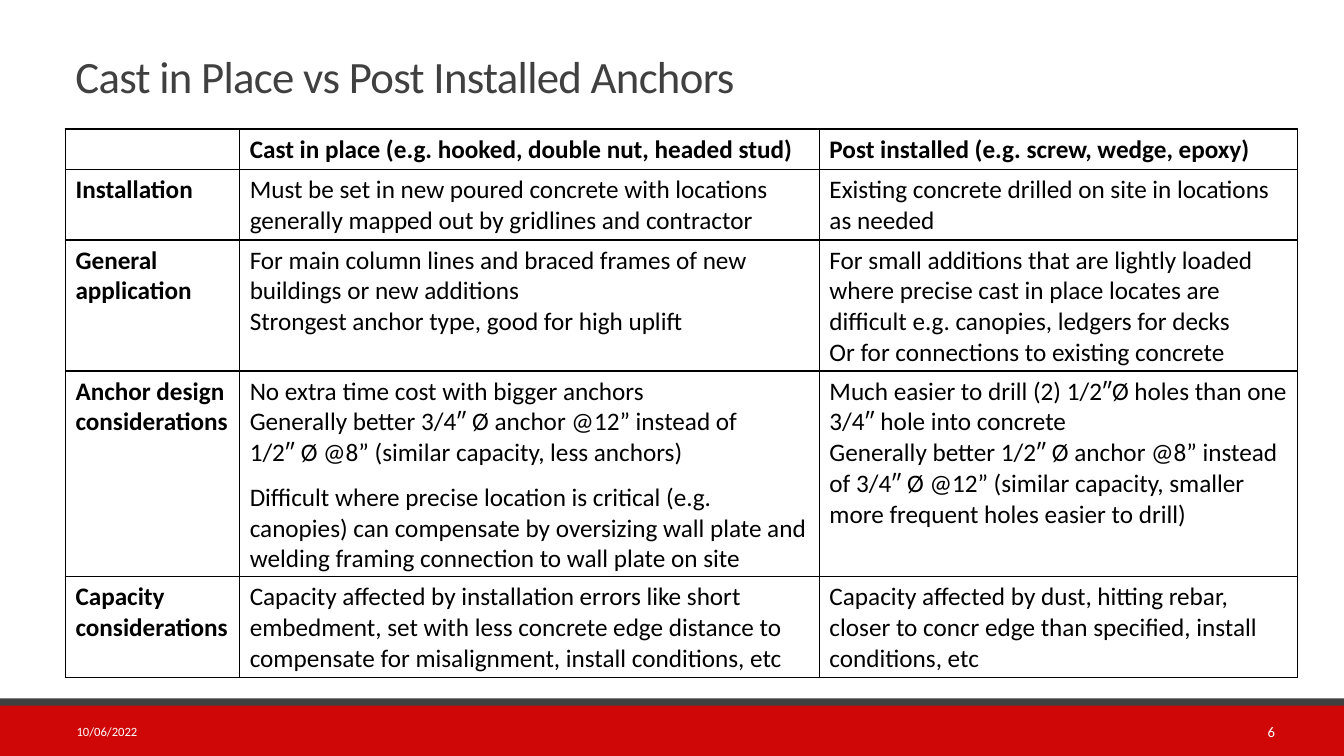
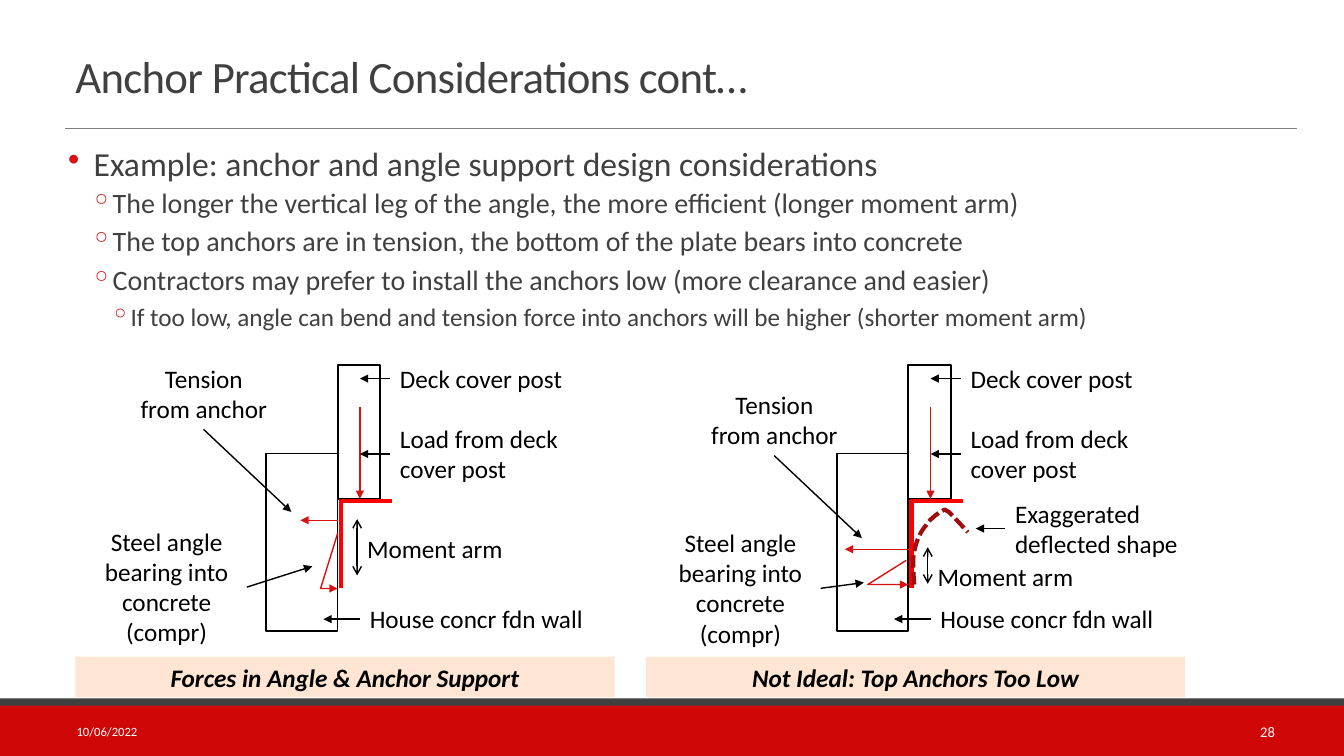
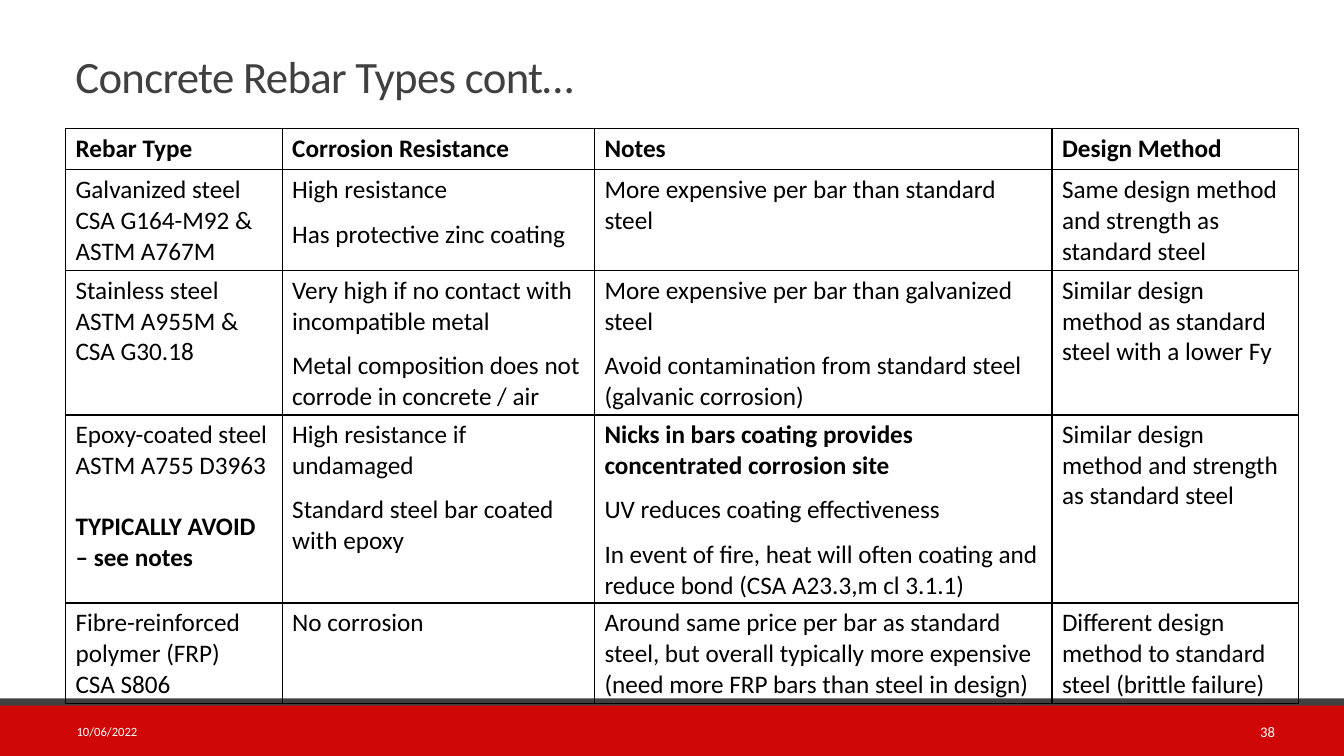
from dataclasses import dataclass
from itertools import chain
from typing import Any, NamedTuple, Optional, Sequence, Union

from lxml import etree
from pptx import Presentation
from pptx import slide as sld
from pptx import util as u
from pptx.dml import color as dml
from pptx.enum import dml as dash, shapes, text
from pptx.oxml import ns
from pptx.shapes import shapetree as tree
from pptx.text import text as txt

Cm = u.Cm
MSO = shapes.MSO_SHAPE
ALIGN, ANCHOR = text.PP_ALIGN, text.MSO_ANCHOR


@dataclass(frozen=True)
class Theme:
    font: str = "Calibri"
    ink: str = "000000"
    grey: str = "404040"
    rule: str = "808080"
    paper: str = "FFFFFF"
    band: str = "CF0707"
    accent: str = "D91111"
    steel: str = "FF0000"
    deflected: str = "A10D0D"
    caption: str = "FFE6D4"
    title_pt: float = 32
    body_pt: float = 18
    date_pt: float = 9
    number_pt: float = 10.5


THEME = Theme()
WIDTH, HEIGHT = 33.87, 19.05


class Box(NamedTuple):
    left: float
    top: float
    width: float
    height: float

    def emu(self) -> list[u.Length]:
        return [Cm(side) for side in self]


class Point(NamedTuple):
    x: float
    y: float


class Line(NamedTuple):
    """One paragraph; gap is the space before it in points."""
    text: str
    bold: bool = False
    gap: float = 0


class Style(NamedTuple):
    size: float = THEME.body_pt
    color: str = THEME.ink
    italic: bool = False
    align: ALIGN = ALIGN.LEFT
    anchor: ANCHOR = ANCHOR.TOP


class Level(NamedTuple):
    indent: float
    hanging: float
    size: float
    mark: str
    before: float
    after: float


Cell = Union[str, Line, Sequence[Union[str, Line]]]


def rgb(code: str) -> dml.RGBColor:
    return dml.RGBColor.from_string(code)


def set_all(target: Any, values: dict[str, Any]) -> None:
    for name, value in values.items():
        setattr(target, name, value)


def sub(parent: Any, tag: str, **attributes: str) -> Any:
    return etree.SubElement(parent, ns.qn(tag), attributes)


def format_runs(paragraph: txt._Paragraph, size: float, color: str,
                bold: bool = False, italic: bool = False) -> None:
    for run in paragraph.runs:
        set_all(run.font, {"name": THEME.font, "size": u.Pt(size),
                           "bold": bold, "italic": italic})
        run.font.color.rgb = rgb(color)


def write(frame: txt.TextFrame, content: Cell, style: Style = Style()) -> None:
    if isinstance(content, (str, Line)):
        content = [content]
    for index, item in enumerate(content):
        line = Line(item) if isinstance(item, str) else item
        paragraph = frame.add_paragraph() if index else frame.paragraphs[0]
        paragraph.text = line.text
        paragraph.alignment = style.align
        if line.gap:
            paragraph.space_before = u.Pt(line.gap)
        format_runs(paragraph, style.size, style.color, line.bold, style.italic)


def add_label(parent: Any, box: Box, content: Cell,
              style: Style = Style()) -> txt.TextFrame:
    frame = parent.add_textbox(*box.emu()).text_frame
    set_all(frame, {"word_wrap": True, "vertical_anchor": style.anchor})
    write(frame, content, style)
    return frame


def add_rect(parent: Any, box: Box, fill: Optional[str] = None,
             outline: Optional[str] = None) -> Any:
    rect = parent.add_shape(MSO.RECTANGLE, *box.emu())
    rect.shadow.inherit = False
    if fill:
        rect.fill.solid()
        rect.fill.fore_color.rgb = rgb(fill)
    else:
        rect.fill.background()
    if outline:
        rect.line.color.rgb = rgb(outline)
        rect.line.width = u.Pt(1.25)
    else:
        rect.line.fill.background()
    return rect


def stroke(shape: Any, color: str, width: float, head: str = "",
           tail: str = "") -> None:
    shape.line.color.rgb = rgb(color)
    shape.line.width = u.Pt(width)
    for tag, kind in (("a:headEnd", head), ("a:tailEnd", tail)):
        if kind:
            sub(shape.line._get_or_add_ln(), tag, type=kind)


def add_line(parent: Any, start: Point, end: Point, color: str = THEME.ink,
             width: float = 1, head: str = "", tail: str = "triangle") -> None:
    ends = [Cm(value) for value in chain(start, end)]
    connector = parent.add_connector(shapes.MSO_CONNECTOR.STRAIGHT, *ends)
    stroke(connector, color, width, head, tail)
    sub(connector._element.spPr, "a:effectLst")


def add_outline(parent: Any, points: Sequence[Point], color: str,
                width: float, tail: str = "") -> Any:
    corners = [(Cm(x), Cm(y)) for x, y in points]
    builder = parent.build_freeform(*corners[0])
    builder.add_line_segments(corners[1:], close=False)
    outline = builder.convert_to_shape()
    outline.shadow.inherit = False
    outline.fill.background()
    stroke(outline, color, width, tail=tail)
    return outline


def start_slide(deck: Any, title: str, number: int) -> sld.Slide:
    """Add a blank slide with the shared bands, footer and title."""
    slide = deck.slides.add_slide(deck.slide_layouts[6])
    parts = slide.shapes
    add_rect(parts, Box(0, 17.7, WIDTH, HEIGHT - 17.7), THEME.band, THEME.band)
    add_rect(parts, Box(0, 17.6, WIDTH, 0.18), THEME.grey)
    add_line(parts, Point(1.63, 3.23), Point(32.69, 3.23), THEME.rule, 0.5, tail="")
    footer = Style(THEME.date_pt, THEME.paper, anchor=ANCHOR.MIDDLE)
    add_label(parts, Box(1.68, 17.93, 6.86, 1.02), "10/06/2022", footer)
    add_label(parts, Box(28.75, 17.93, 3.63, 1.02), str(number),
              footer._replace(size=THEME.number_pt, align=ALIGN.RIGHT))
    heading = add_label(parts, Box(1.65, 0.79, 30.73, 2.46), title,
                        Style(THEME.title_pt, THEME.grey, anchor=ANCHOR.MIDDLE))
    heading.paragraphs[0].line_spacing = 0.85
    heading.paragraphs[0].runs[0]._r.get_or_add_rPr().set("spc", "-50")
    return slide


def border_cell(cell: Any) -> None:
    properties = cell._tc.get_or_add_tcPr()
    for index, side in enumerate(("a:lnL", "a:lnR", "a:lnT", "a:lnB")):
        edge = sub(properties, side, w=str(u.Pt(1)))
        sub(sub(edge, "a:solidFill"), "a:srgbClr", val=THEME.ink)
        properties.insert(index, edge)


class Band(NamedTuple):
    """One table of a stack: its row heights and its rows of cells."""
    heights: Sequence[float]
    rows: Sequence[Sequence[Cell]]


def stack_tables(slide: sld.Slide, top: float, widths: Sequence[float],
                 bands: Sequence[Band]) -> None:
    for band in bands:
        box = Box(1.65, top, sum(widths), sum(band.heights))
        table = slide.shapes.add_table(len(band.rows), len(widths), *box.emu()).table
        set_all(table, {"first_row": False, "horz_banding": False})
        for column, width in zip(table.columns, widths):
            column.width = Cm(width)
        for row, height, contents in zip(table.rows, band.heights, band.rows):
            row.height = Cm(height)
            for cell, content in zip(row.cells, contents):
                cell.fill.background()
                border_cell(cell)
                write(cell.text_frame, content)
        top += box.height


def bold_row(*names: str) -> list[Line]:
    return [Line(name, bold=True) for name in names]


def spaced(first: Union[str, Line], *others: str) -> list[Union[str, Line]]:
    return [first, *(Line(other, gap=10) for other in others)]


ANCHOR_BANDS = [
    Band((1.03, 1.77), [
        bold_row("", "Cast in place (e.g. hooked, double nut, headed stud)",
                 "Post installed (e.g. screw, wedge, epoxy)"),
        [Line("Installation", True),
         "Must be set in new poured concrete with locations generally mapped out "
         "by gridlines and contractor",
         "Existing concrete drilled on site in locations as needed"]]),
    Band((3.3,), [
        [Line("General application", True),
         ["For main column lines and braced frames of new buildings or new additions",
          "Strongest anchor type, good for high uplift"],
         ["For small additions that are lightly loaded where precise cast in place "
          "locates are difficult e.g. canopies, ledgers for decks",
          "Or for connections to existing concrete"]]]),
    Band((5.18,), [
        [Line("Anchor design considerations", True),
         ["No extra time cost with bigger anchors",
          "Generally better 3/4″ Ø anchor @12” instead of \n"
          "1/2″ Ø @8” (similar capacity, less anchors)",
          Line("Difficult where precise location is critical (e.g. canopies) can "
               "compensate by oversizing wall plate and welding framing connection "
               "to wall plate on site", gap=10)],
         ["Much easier to drill (2) 1/2″Ø holes than one 3/4″ hole into concrete",
          "Generally better 1/2″ Ø anchor @8” instead of 3/4″ Ø @12” (similar "
          "capacity, smaller more frequent holes easier to drill)"]]]),
    Band((2.54,), [
        [Line("Capacity considerations", True),
         "Capacity affected by installation errors like short embedment, set with "
         "less concrete edge distance to compensate for misalignment, install "
         "conditions, etc",
         "Capacity affected by dust, hitting rebar, closer to concr edge than "
         "specified, install conditions, etc"]]),
]

REBAR_BANDS = [
    Band((1.04, 2.54), [
        bold_row("Rebar Type", "Corrosion Resistance", "Notes", "Design Method"),
        [["Galvanized steel", "CSA G164-M92 &", "ASTM A767M"],
         spaced("High resistance", "Has protective zinc coating"),
         "More expensive per bar than standard steel",
         "Same design method and strength as standard steel"]]),
    Band((3.63,), [
        [["Stainless steel", "ASTM A955M &", "CSA G30.18"],
         spaced("Very high if no contact with incompatible metal",
                "Metal composition does not corrode in concrete / air"),
         spaced("More expensive per bar than galvanized steel",
                "Avoid contamination from standard steel (galvanic corrosion)"),
         "Similar design method as standard steel with a lower Fy"]]),
    Band((4.75,), [
        [["Epoxy-coated steel", "ASTM A755 D3963",
          Line("TYPICALLY AVOID – see notes", True, 22)],
         spaced("High resistance if undamaged",
                "Standard steel bar coated with epoxy"),
         spaced(Line("Nicks in bars coating provides concentrated corrosion site", True),
                "UV reduces coating effectiveness",
                "In event of fire, heat will often coating and reduce bond "
                "(CSA A23.3,m cl 3.1.1)"),
         "Similar design method and strength as standard steel"]]),
    Band((2.54,), [
        [["Fibre-reinforced polymer (FRP)", "CSA S806"],
         "No corrosion",
         "Around same price per bar as standard steel, but overall typically more "
         "expensive (need more FRP bars than steel in design)",
         "Different design method to standard steel (brittle failure)"]]),
]

LEVELS = [Level(0.64, 0.64, 24, "•", 0, 2),
          Level(1.07, 0.51, 20, "◦", 2, 4),
          Level(1.57, 0.51, 18, "◦", 2, 4)]

ADVICE = [
    (0, "Example: anchor and angle support design considerations"),
    (1, "The longer the vertical leg of the angle, the more efficient (longer moment arm)"),
    (1, "The top anchors are in tension, the bottom of the plate bears into concrete"),
    (1, "Contractors may prefer to install the anchors low (more clearance and easier)"),
    (2, "If too low, angle can bend and tension force into anchors will be higher "
        "(shorter moment arm)"),
]


def add_bullets(slide: sld.Slide, box: Box, items: Sequence[tuple[int, str]]) -> None:
    frame = add_label(slide.shapes, box, [item for _, item in items])
    for paragraph, (depth, _) in zip(frame.paragraphs, items):
        level = LEVELS[depth]
        properties = paragraph._p.get_or_add_pPr()
        properties.set("marL", str(Cm(level.indent)))
        properties.set("indent", str(-Cm(level.hanging)))
        sub(sub(properties, "a:buClr"), "a:srgbClr", val=THEME.accent)
        sub(properties, "a:buChar", char=level.mark)
        set_all(paragraph, {"level": depth, "line_spacing": 0.9,
                            "space_before": u.Pt(level.before),
                            "space_after": u.Pt(level.after)})
        format_runs(paragraph, level.size, THEME.grey)


@dataclass(frozen=True)
class Support:
    """What differs between the two angle supports, in the left one's coordinates."""
    shift: float
    caption: str
    tension_label_top: float
    tension: tuple[Point, Point]
    bearing: tuple[Point, Point, Point]
    bearing_label: Point
    bearing_tip: Point
    arm: tuple[float, float]
    arm_label_top: float
    bend: Sequence[Point] = ()


SUPPORTS = [
    Support(0, "Forces in Angle & Anchor Support", 9.02,
            (Point(8.53, 13.11), Point(7.57, 13.11)),
            (Point(8.51, 13.44), Point(8.08, 14.83), Point(8.51, 14.83)),
            Point(2.18, 13.13), Point(7.87, 14.27), (14.5, 13.08), 13.31),
    Support(14.38, "Not Ideal: Top Anchors Too Low", 9.68,
            (Point(8.53, 13.84), Point(6.91, 13.84)),
            (Point(8.46, 14.12), Point(7.49, 14.73), Point(8.51, 14.73)),
            Point(2.26, 13.16), Point(7.39, 14.68), (14.71, 13.79), 14.02,
            [Point(*pair) for pair in (
                (8.66, 14.73), (8.64, 14.43), (8.61, 14.12), (8.66, 13.89),
                (8.71, 13.64), (8.81, 13.41), (8.94, 13.26), (9.04, 13.08),
                (9.27, 12.93), (9.35, 12.88), (9.45, 12.83), (9.4, 12.83),
                (9.53, 12.9), (9.63, 13), (9.83, 13.21), (10.01, 13.41))]),
]


def trace_curve(controls: Sequence[Point], steps: int = 8) -> list[Point]:
    """Points along a chain of cubic Bézier curves."""
    traced = [controls[0]]
    for first in range(0, len(controls) - 1, 3):
        axes = list(zip(*controls[first:first + 4]))
        for step in range(1, steps + 1):
            t = step / steps
            weights = ((1 - t) ** 3, 3 * t * (1 - t) ** 2, 3 * t * t * (1 - t), t ** 3)
            traced.append(Point(*(sum(w * v for w, v in zip(weights, axis))
                                  for axis in axes)))
    return traced


def draw_support(slide: sld.Slide, support: Support) -> None:
    parts: tree.GroupShapes = slide.shapes.add_group_shape().shapes
    centred = Style(align=ALIGN.CENTER)

    def at(point: Point) -> Point:
        return Point(point.x + support.shift, point.y)

    def label(box: Box, content: str, style: Style = Style()) -> None:
        add_label(parts, box._replace(left=box.left + support.shift), content, style)

    def arrow(start: Point, end: Point, **options: Any) -> None:
        add_line(parts, at(start), at(end), **options)

    for body in (Box(8.51, 9.19, 1.07, 3.38), Box(6.71, 11.43, 1.8, 4.47)):
        add_rect(parts, body._replace(left=body.left + support.shift), outline=THEME.ink)
    angle = (Point(8.59, 14.83), Point(8.59, 12.62), Point(9.88, 12.62))
    add_outline(parts, [at(corner) for corner in angle], THEME.steel, 3)
    add_outline(parts, [at(corner) for corner in support.bearing], THEME.accent, 1,
                "triangle")
    arrow(Point(9.07, 10.26), Point(9.07, 12.57), color=THEME.accent)
    arrow(*support.tension, color=THEME.accent)

    callouts = [("Deck cover post", Box(9.83, 9.04, 5.69, 1), 9.07),
                ("Load from deck cover post", Box(9.83, 10.54, 5.69, 1.8), 9.07),
                ("House concr fdn wall", Box(9.07, 15.09, 6.1, 1.02), 8.15)]
    if support.bend:
        callouts.append(("Exaggerated deflected shape", Box(10.95, 12.42, 5.69, 1.8), 10.21))
        curve = [at(point) for point in trace_curve(support.bend)]
        bent = add_outline(parts, curve, THEME.deflected, 3)
        bent.line.dash_style = dash.MSO_LINE.SQUARE_DOT
    for name, box, tip in callouts:
        label(box, name)
        middle = box.top + box.height / 2
        arrow(Point(box.left, middle), Point(tip, middle))

    top = support.tension_label_top
    label(Box(3.23, top, 3.81, 1.8), "Tension from anchor", centred)
    arrow(Point(5.13, top + 1.8), Point(7.34, top + 3.88))
    bearing = Box(*support.bearing_label, 4.04, 3.33)
    label(bearing, "Steel angle bearing into concrete (compr)", centred)
    arrow(Point(bearing.left + bearing.width, bearing.top + bearing.height / 2),
          support.bearing_tip)
    label(Box(9, support.arm_label_top, 4.27, 1.02), "Moment arm")
    low, high = support.arm
    arrow(Point(9, low), Point(9, high), head="arrow", tail="arrow")

    caption = add_rect(parts, Box(1.9 + support.shift, 16.55, 13.59, 1.02), THEME.caption)
    set_all(caption.text_frame, {"word_wrap": True, "vertical_anchor": ANCHOR.MIDDLE})
    write(caption.text_frame, Line(support.caption, bold=True),
          centred._replace(italic=True))


def main() -> None:
    deck = Presentation()
    set_all(deck, {"slide_width": Cm(WIDTH), "slide_height": Cm(HEIGHT)})

    anchors = start_slide(deck, "Cast in Place vs Post Installed Anchors", 6)
    stack_tables(anchors, 3.25, (4.39, 14.61, 12.04), ANCHOR_BANDS)

    practice = start_slide(deck, "Anchor Practical Considerations cont…", 28)
    add_bullets(practice, Box(1.47, 3.58, 30.73, 5.4), ADVICE)
    for support in SUPPORTS:
        draw_support(practice, support)

    rebar = start_slide(deck, "Concrete Rebar Types cont…", 38)
    stack_tables(rebar, 3.23, (5.46, 7.87, 11.53, 6.22), REBAR_BANDS)

    deck.save("out.pptx")


if __name__ == "__main__":
    main()
